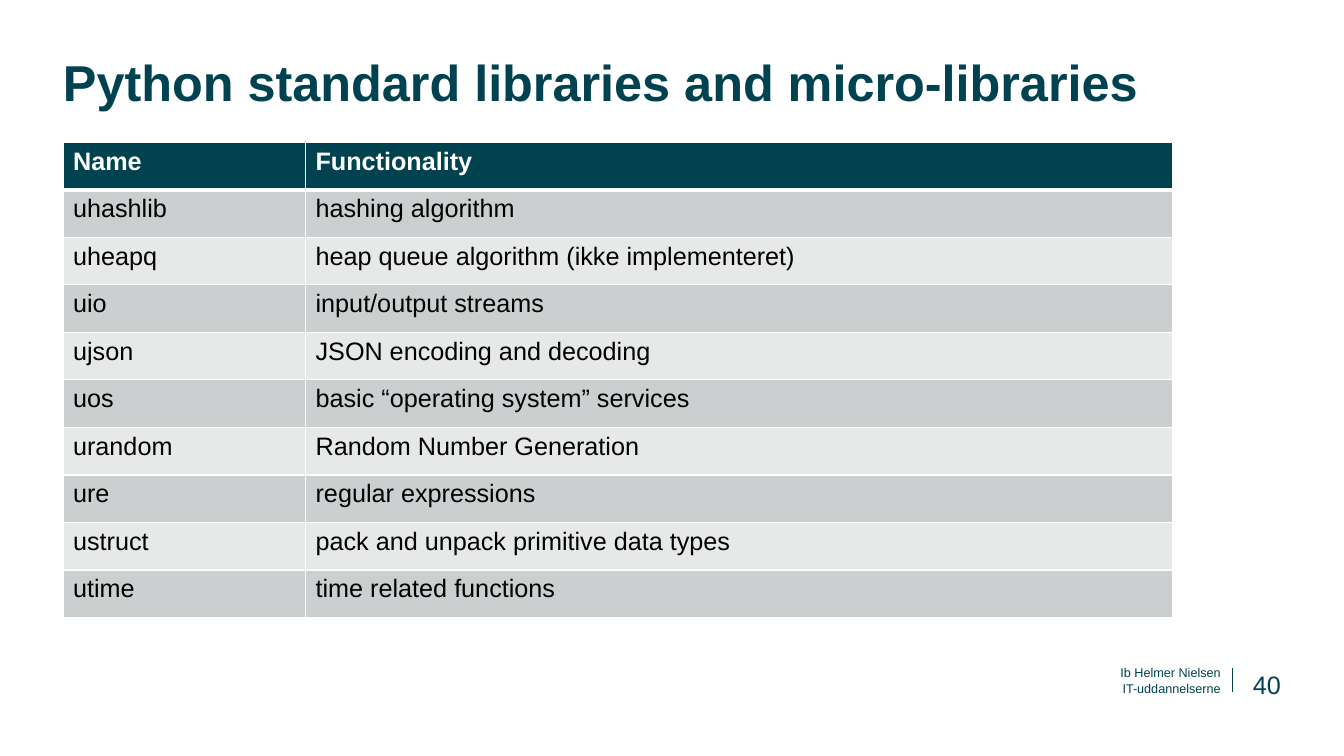
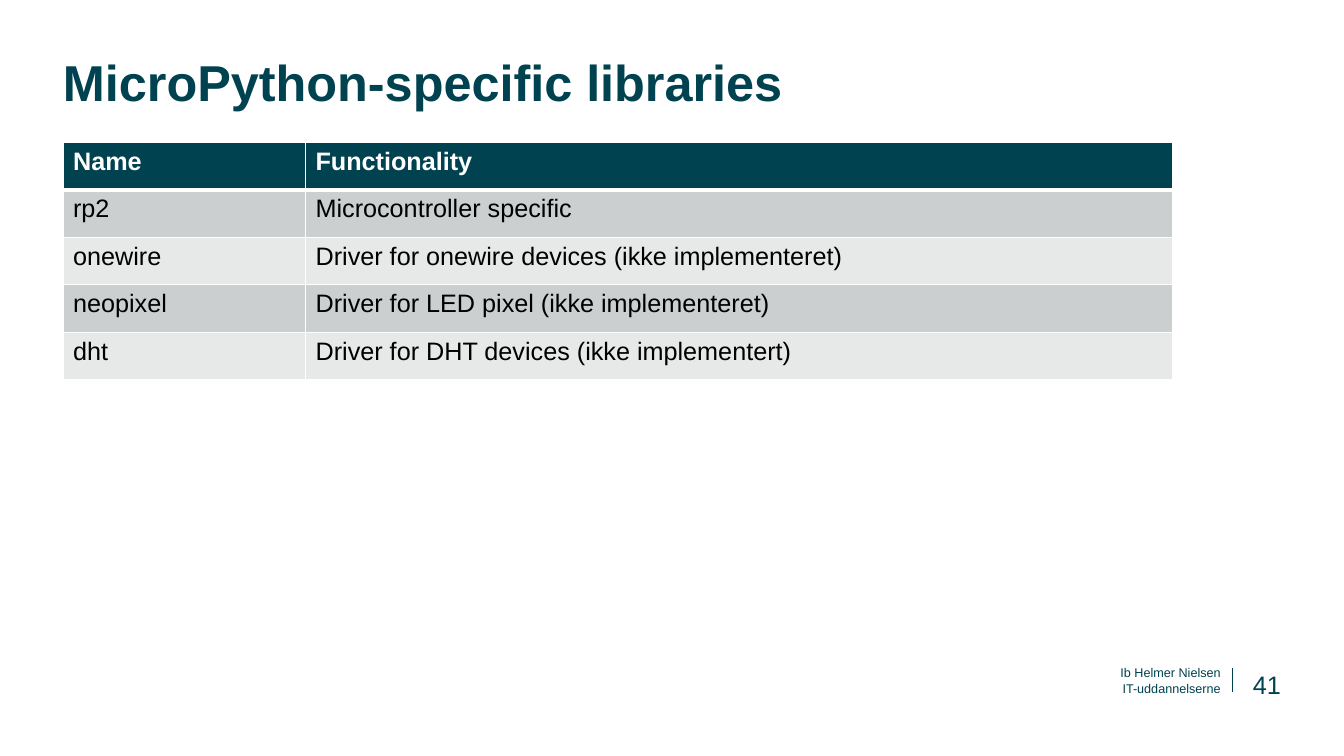
from dataclasses import dataclass

from lxml.etree import SubElement
from pptx import Presentation
from pptx.dml.color import RGBColor
from pptx.enum.shapes import MSO_CONNECTOR
from pptx.enum.text import MSO_ANCHOR, MSO_AUTO_SIZE, PP_ALIGN
from pptx.oxml import parse_xml
from pptx.oxml.ns import nsdecls, qn
from pptx.util import Inches, Pt


@dataclass(frozen=True)
class Theme:
    font: str = "Arial"
    petrol: str = "004250"
    white: str = "FFFFFF"
    black: str = "000000"
    bands: tuple = ("CCCFD0", "E7E9E9")
    title_size: int = 36
    body_size: int = 18
    footer_size: int = 9
    thin_border: int = 1
    header_border: int = 3
    divider_width: float = 0.5


GRID_COLUMNS = 128
LEFT_COLUMN = 6
RIGHT_COLUMN = 122
TABLE_TOP = 13.54
TABLE_COLUMNS = (23.1, 82.55)
TABLE_ROW = 4.53
HEADINGS = ("Name", "Functionality")
FOOTER_LINES = ("Ib Helmer Nielsen", "IT-uddannelserne")
FIRST_PAGE = 40

LIBRARY_PAGES = (
    (
        "Python standard libraries and micro-libraries",
        (
            ("uhashlib", "hashing algorithm"),
            ("uheapq", "heap queue algorithm (ikke implementeret)"),
            ("uio", "input/output streams"),
            ("ujson", "JSON encoding and decoding"),
            ("uos", "basic “operating system” services"),
            ("urandom", "Random Number Generation"),
            ("ure", "regular expressions"),
            ("ustruct", "pack and unpack primitive data types"),
            ("utime", "time related functions"),
        ),
    ),
    (
        "MicroPython-specific libraries",
        (
            ("rp2", "Microcontroller specific"),
            ("onewire", "Driver for onewire devices (ikke implementeret)"),
            ("neopixel", "Driver for LED pixel (ikke implementeret)"),
            ("dht", "Driver for DHT devices (ikke implementert)"),
        ),
    ),
)


class Deck:
    def __init__(self, theme):
        self.theme = theme
        self.presentation = Presentation()
        self.presentation.slide_width = Inches(13.33)
        self.presentation.slide_height = Inches(7.5)
        self.unit = self.presentation.slide_width / GRID_COLUMNS
        self.slide = None

    def grid(self, *cells):
        return [round(cell * self.unit) for cell in cells]

    def text_run(self, paragraph, text, size, color, bold=False):
        run = paragraph.add_run()
        run.text = text
        run.font.name = self.theme.font
        run.font.size = Pt(size)
        run.font.bold = bold
        run.font.color.rgb = RGBColor.from_string(color)

    def clear_insets(self, frame, anchor):
        frame.margin_left = frame.margin_top = 0
        frame.margin_right = frame.margin_bottom = 0
        frame.vertical_anchor = anchor
        frame.word_wrap = True
        frame.auto_size = MSO_AUTO_SIZE.NONE

    def start_slide(self, heading):
        layout = self.presentation.slide_layouts[5]
        self.slide = self.presentation.slides.add_slide(layout)
        title = self.slide.shapes.title
        title.left, title.top, title.width, title.height = self.grid(
            LEFT_COLUMN, 5.66, RIGHT_COLUMN - LEFT_COLUMN, 9.6
        )
        self.clear_insets(title.text_frame, MSO_ANCHOR.TOP)
        paragraph = title.text_frame.paragraphs[0]
        paragraph.alignment = PP_ALIGN.LEFT
        paragraph.line_spacing = 0.88
        self.text_run(
            paragraph, heading, self.theme.title_size, self.theme.petrol, True
        )

    def right_text(self, text, size, left, top, width, height):
        box = self.slide.shapes.add_textbox(*self.grid(left, top, width, height))
        self.clear_insets(box.text_frame, MSO_ANCHOR.BOTTOM)
        paragraph = box.text_frame.paragraphs[0]
        paragraph.alignment = PP_ALIGN.RIGHT
        self.text_run(paragraph, text, size, self.theme.petrol)

    def divider(self, column, top, bottom):
        line = self.slide.shapes.add_connector(
            MSO_CONNECTOR.STRAIGHT, *self.grid(column, top, column, bottom)
        )
        line.line.color.rgb = RGBColor.from_string(self.theme.petrol)
        line.line.width = Pt(self.theme.divider_width)
        SubElement(line._element.spPr, qn("a:effectLst"))

    def footer(self, page):
        self.divider(117.35, 63.65, 65.95)
        for index, text in enumerate(FOOTER_LINES):
            self.right_text(
                text, self.theme.footer_size, 76, 63.26 + index * 1.54, 40.25, 1.54
            )
        self.right_text(
            str(page), self.theme.body_size, 117.5, 61.15, RIGHT_COLUMN - 117.5, 5.47
        )

    def borders(self, cell, top, bottom):
        thin = self.theme.thin_border
        widths = {"lnL": thin, "lnR": thin, "lnT": top, "lnB": bottom}
        properties = cell._tc.get_or_add_tcPr()
        for index, (side, width) in enumerate(widths.items()):
            border = parse_xml(
                f'<a:{side} {nsdecls("a")} w="{Pt(width)}"><a:solidFill>'
                f'<a:srgbClr val="{self.theme.white}"/></a:solidFill></a:{side}>'
            )
            properties.insert(index, border)

    def cell(self, cell, text, row_index):
        theme = self.theme
        is_header = row_index == 0
        fill = theme.petrol if is_header else theme.bands[(row_index - 1) % 2]
        cell.fill.solid()
        cell.fill.fore_color.rgb = RGBColor.from_string(fill)
        self.borders(
            cell,
            theme.header_border if row_index == 1 else theme.thin_border,
            theme.header_border if is_header else theme.thin_border,
        )
        color = theme.white if is_header else theme.black
        self.text_run(
            cell.text_frame.paragraphs[0], text, theme.body_size, color, is_header
        )

    def library_table(self, libraries):
        rows = (HEADINGS, *libraries)
        position = self.grid(
            LEFT_COLUMN, TABLE_TOP, sum(TABLE_COLUMNS), TABLE_ROW * len(rows)
        )
        table = self.slide.shapes.add_table(
            len(rows), len(HEADINGS), *position
        ).table
        table.horz_banding = False
        for column, width in zip(table.columns, self.grid(*TABLE_COLUMNS)):
            column.width = width
        for row_index, texts in enumerate(rows):
            table.rows[row_index].height = self.grid(TABLE_ROW)[0]
            for column_index, text in enumerate(texts):
                self.cell(table.cell(row_index, column_index), text, row_index)


def main():
    deck = Deck(Theme())
    for page, (heading, libraries) in enumerate(LIBRARY_PAGES, FIRST_PAGE):
        deck.start_slide(heading)
        deck.footer(page)
        deck.library_table(libraries)
    deck.presentation.save("out.pptx")


if __name__ == "__main__":
    main()
